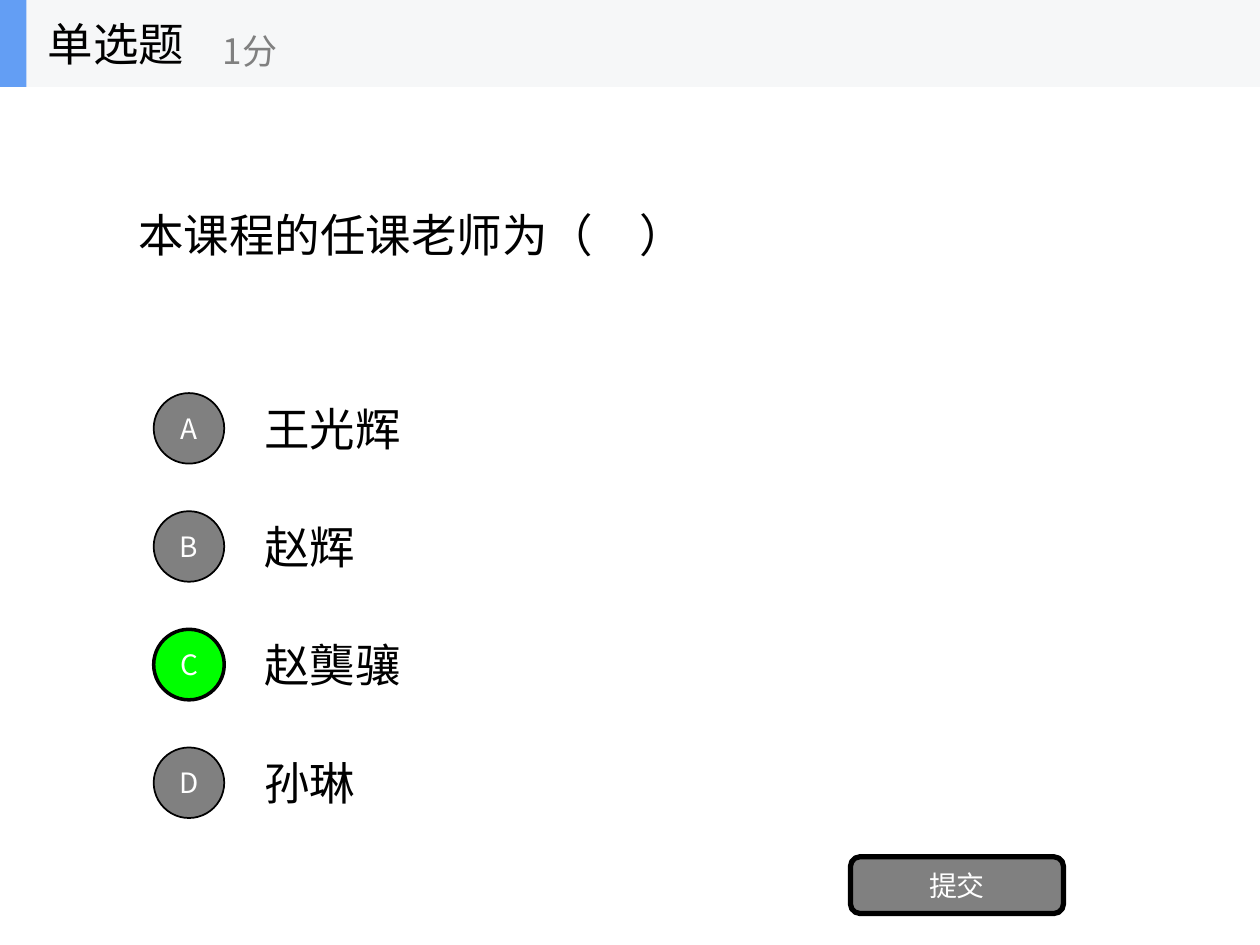
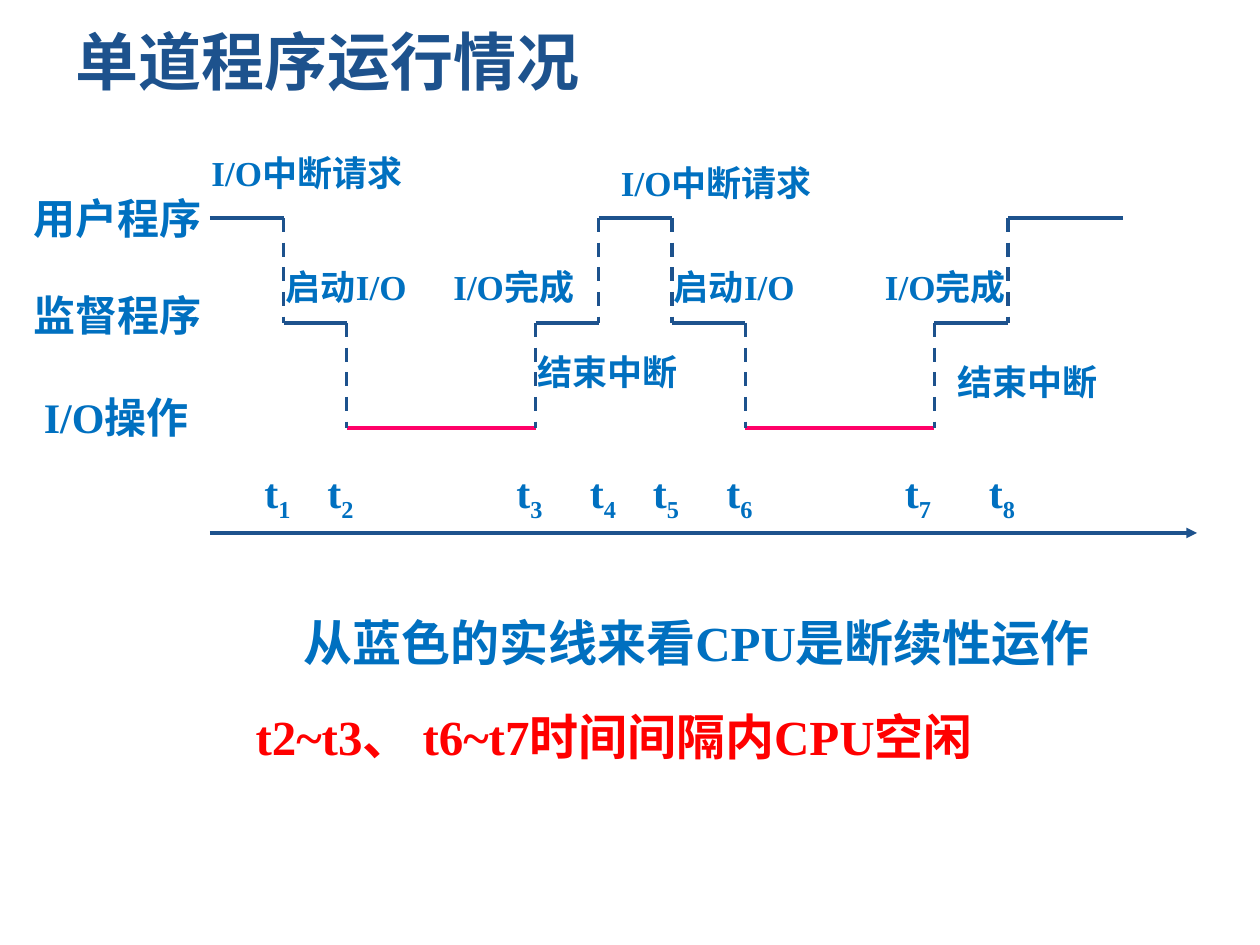
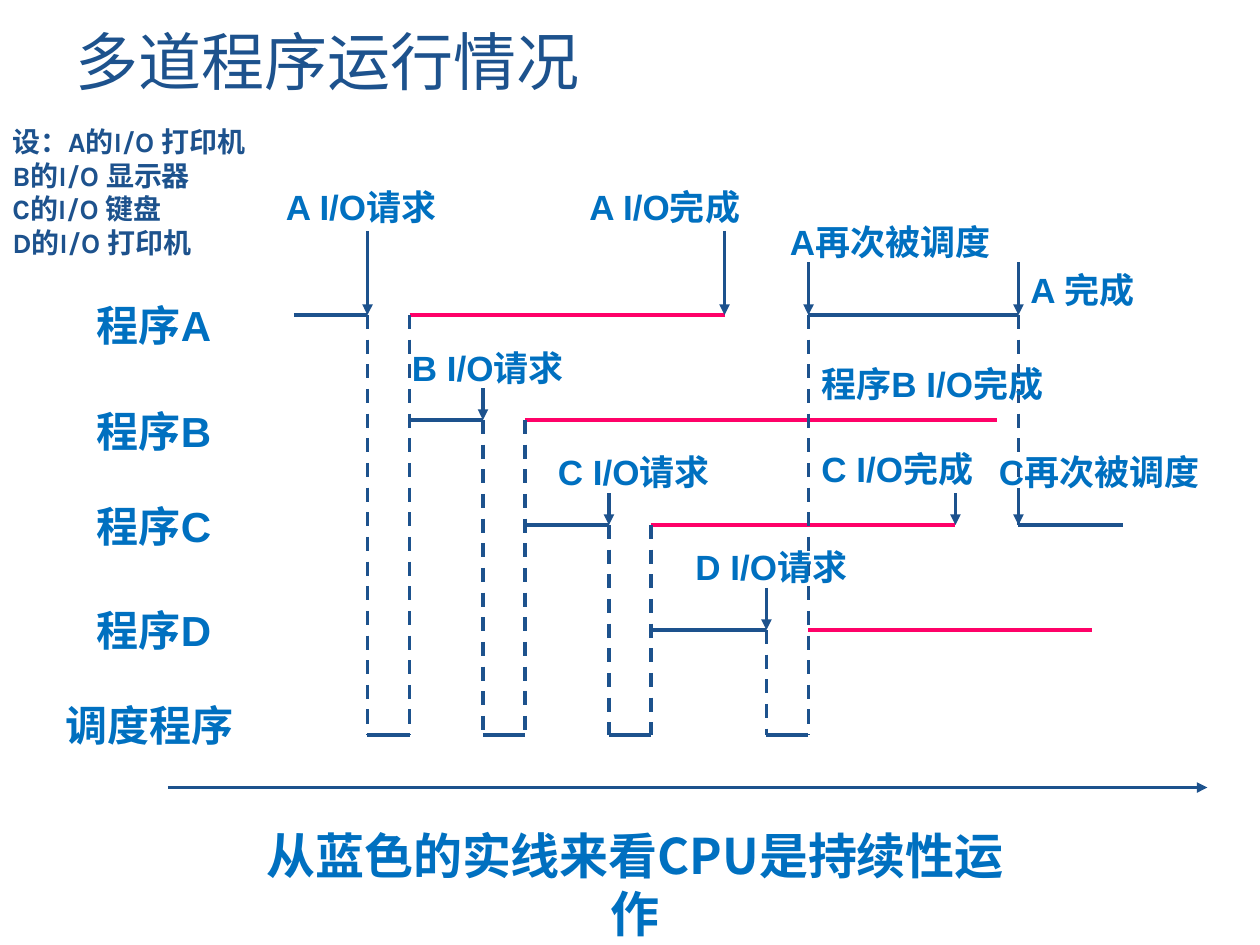
"""Builds a quiz slide and two timing diagrams of single and multiple program runs."""
from lxml import etree
from pptx import Presentation
from pptx.dml.color import RGBColor
from pptx.enum.dml import MSO_LINE
from pptx.enum.shapes import MSO_CONNECTOR, MSO_SHAPE
from pptx.enum.text import MSO_ANCHOR, PP_ALIGN
from pptx.oxml.ns import qn
from pptx.util import Inches, Pt

STRAIGHT = MSO_CONNECTOR.STRAIGHT
RECT, ROUND, OVAL = MSO_SHAPE.RECTANGLE, MSO_SHAPE.ROUNDED_RECTANGLE, MSO_SHAPE.OVAL
DASH = MSO_LINE.DASH
TOP, MIDDLE = MSO_ANCHOR.TOP, MSO_ANCHOR.MIDDLE
LEFT, CENTER, RIGHT = PP_ALIGN.LEFT, PP_ALIGN.CENTER, PP_ALIGN.RIGHT

WIDTH, HEIGHT = 10, 7.5
UNIT = 1 / 12
ROW_STEP = 10
HAN, SERIF, SANS, TITLE_SANS, NOTE_FONT = (
    "Noto Sans CJK SC", "Times New Roman", "Arial", "DejaVu Sans", "Karla")
BLACK, WHITE, GRAY, GREEN, RED = "000000", "FFFFFF", "808080", "00FF00", "FF0000"
NAVY, BLUE, PINK, BAND, ACCENT = "1D528D", "0070C0", "FF0168", "F6F7F8", "639EF4"

QUESTION = "本课程的任课老师为（　）"
OPTIONS = [("A", "王光辉"), ("B", "赵辉"), ("C", "赵龑骧"), ("D", "孙琳")]
ANSWER = "C"

SINGLE_TITLE = "单道程序运行情况"
SINGLE_TOP = 1.73
SINGLE_START = 20
SINGLE_STEPS = [(27, 0), (33, 1), (51, 2), (57, 1), (64, 0), (71, 1), (89, 2), (96, 1), (107, 0)]
IO_LEVEL = 2
TICKS = [24, 30, 48, 55, 61, 68, 85, 93]
SINGLE_ROWS = [(0.17, 1.48, "用户程序"), (0.17, 2.25, "监督程序"), (0.25, 3.06, "I/O操作")]
SINGLE_EVENTS = [
    (1.58, 1.15, 2.08, "I/O中断请求", LEFT), (4.83, 1.23, 2.08, "I/O中断请求", LEFT),
    (2.17, 2.06, 1.58, "启动I/O", LEFT), (3.5, 2.06, 1.58, "I/O完成", LEFT),
    (5.25, 2.06, 1.58, "启动I/O", LEFT), (6.5, 2.06, 1.58, "I/O完成", RIGHT),
    (4.17, 2.73, 1.58, "结束中断", LEFT), (7.5, 2.81, 1.58, "结束中断", LEFT),
]
SINGLE_SUMMARY = "从蓝色的实线来看CPU是断续性运作"
SINGLE_IDLE = "t2~t3、 t6~t7时间间隔内CPU空闲"

MULTI_TITLE = "多道程序运行情况"
MULTI_TOP = 2.5
DEVICES = ["设：A的I/O 打印机", "B的I/O 显示器", "C的I/O 键盘", "D的I/O 打印机"]
PROGRAMS = [("A", 2.33), ("B", 3.17), ("C", 3.92), ("D", 4.75)]
CPU_SPANS = [
    [(28, 35), (77, 97)], [(39, 46)], [(50, 58), (97, 107)], [(62, 73)],
    [(35, 39), (46, 50), (58, 62), (73, 77)],
]
IO_SPANS = [(39, 69), (50, 95), (62, 91), (77, 104)]
SWITCHES = [(35, 0, 4), (39, 0, 4), (46, 1, 4), (50, 1, 4), (58, 2, 4),
            (62, 2, 4), (73, 3, 4), (77, 0, 4), (97, 0, 2)]
ARROWS = [(35, 8, 0), (69, 8, 0), (77, 5, 0), (97, 5, 0), (46, 3, 1),
          (58, 3, 2), (91, 3, 2), (97, 3, 2), (73, 4, 3)]
MULTI_EVENTS = [
    (2.17, 1.42, 1.67, "A I/O请求"), (4.58, 1.42, 1.75, "A I/O完成"),
    (6.17, 1.7, 2, "A再次被调度"), (8.08, 2.08, 1.75, "A 完成"),
    (3.17, 2.7, 2.42, "B I/O请求"), (4.33, 3.53, 2.42, "C I/O请求"),
    (5.42, 4.28, 2.42, "D I/O请求"), (6.42, 3.5, 2.42, "C I/O完成"),
    (7.83, 3.53, 2, "C再次被调度"),
]
MULTI_SUMMARY = "从蓝色的实线来看CPU是持续性运作"


def rgb(value):
    return RGBColor.from_string(value)


def add_run(paragraph, text, font, size, color, bold=False, baseline=0):
    run = paragraph.add_run()
    run.text = text
    run.font.size, run.font.bold, run.font.name = Pt(size), bold, font
    run.font.color.rgb = rgb(color)
    properties = run.font._element
    etree.SubElement(properties, qn("a:ea")).set("typeface", HAN)
    if baseline:
        properties.set("baseline", str(baseline * 1000))


def write(slide, x, y, w, h, text, font, size, color, bold=False, align=LEFT, anchor=TOP):
    """Adds a text box and returns its first paragraph."""
    frame = slide.shapes.add_textbox(*map(Inches, (x, y, w, h))).text_frame
    frame.word_wrap, frame.vertical_anchor = True, anchor
    paragraph = frame.paragraphs[0]
    paragraph.alignment = align
    add_run(paragraph, text, font, size, color, bold)
    return paragraph


def block(slide, kind, x, y, w, h, fill, border=0, text=""):
    shape = slide.shapes.add_shape(kind, *map(Inches, (x, y, w, h)))
    shape.shadow.inherit = False
    shape.fill.solid()
    shape.fill.fore_color.rgb = rgb(fill)
    if border:
        shape.line.color.rgb = rgb(BLACK)
        shape.line.width = Pt(border)
    else:
        shape.line.fill.background()
    if text:
        frame = shape.text_frame
        frame.margin_left = frame.margin_right = 0
        frame.vertical_anchor = MIDDLE
        frame.paragraphs[0].alignment = CENTER
        add_run(frame.paragraphs[0], text, HAN, 16, WHITE)


def draw_line(slide, x1, y1, x2, y2, color=NAVY, dashed=False, arrow=False):
    connector = slide.shapes.add_connector(STRAIGHT, *map(Inches, (x1, y1, x2, y2)))
    connector.line.color.rgb = rgb(color)
    connector.line.width = Pt(2)
    if dashed:
        connector.line.dash_style = DASH
    if arrow:
        etree.SubElement(connector.line._get_or_add_ln(), qn("a:tailEnd")).set("type", "triangle")
    etree.SubElement(connector._element.spPr, qn("a:effectLst"))


def level(top, row):
    return top + row * ROW_STEP * UNIT


def span(slide, top, row, start, end, color=NAVY):
    draw_line(slide, start * UNIT, level(top, row), end * UNIT, level(top, row), color)


def switch(slide, top, column, first, last):
    draw_line(slide, column * UNIT, level(top, first), column * UNIT, level(top, last), dashed=True)


def title(slide, text, font, bold):
    write(slide, 0.5, 0.17, 9, 0.62, text, font, 36, NAVY, bold, anchor=MIDDLE)


def label(slide, x, y, w, text, font, size=20, align=LEFT, color=BLUE):
    return write(slide, x, y, w, size / 48, text, font, size, color, True, align)


def build_quiz(slide):
    write(slide, 1, 0.69, 8, 2.34, QUESTION, HAN, 26, BLACK, anchor=MIDDLE)
    for index, (letter, name) in enumerate(OPTIONS):
        y = 3.05 + index * 0.9375
        right = letter == ANSWER
        write(slide, 2, y, 7, 0.7, name, HAN, 26, BLACK, anchor=MIDDLE)
        block(slide, OVAL, 1.22, y + 0.07, 0.56, 0.56,
              GREEN if right else GRAY, 2 if right else 1, letter)
    block(slide, ROUND, 6.75, 6.8, 1.69, 0.45, GRAY, 3, "提交")
    block(slide, RECT, 0, 0, WIDTH, 0.69, BAND)
    block(slide, RECT, 0, 0, 0.21, 0.69, ACCENT)
    write(slide, 0.28, 0, 2.08, 0.69, "单选题", HAN, 26, BLACK, anchor=MIDDLE)
    write(slide, 1.67, 0.12, 2.5, 0.56, "1分", HAN, 20, GRAY, anchor=MIDDLE)


def build_single(slide):
    title(slide, SINGLE_TITLE, SERIF, True)
    axis = level(SINGLE_TOP, 3)
    draw_line(slide, SINGLE_START * UNIT, axis, 9.5, axis, arrow=True)
    start, previous = SINGLE_START, None
    for end, row in SINGLE_STEPS:
        span(slide, SINGLE_TOP, row, start, end, PINK if row == IO_LEVEL else NAVY)
        if previous is not None:
            switch(slide, SINGLE_TOP, start, min(previous, row), max(previous, row))
        start, previous = end, row
    for x, y, text in SINGLE_ROWS:
        label(slide, x, y, 1.58, text, SERIF, 24)
    for x, y, w, text, align in SINGLE_EVENTS:
        label(slide, x, y, w, text, SERIF, align=align)
    for number, column in enumerate(TICKS, 1):
        tick = label(slide, column * UNIT, 3.65, 0.5, "t", SERIF, 24)
        add_run(tick, str(number), SERIF, 24, BLUE, True, -25)
    label(slide, 2.08, 4.81, 6.9, SINGLE_SUMMARY, SERIF, 28, CENTER)
    label(slide, 1.93, 5.56, 6.38, SINGLE_IDLE, SERIF, 28, color=RED)


def build_multi(slide):
    title(slide, MULTI_TITLE, TITLE_SANS, False)
    draw_line(slide, 16 * UNIT, 6.25, 115 * UNIT, 6.25, arrow=True)
    for row, spans in enumerate(CPU_SPANS):
        for start, end in spans:
            span(slide, MULTI_TOP, row, start, end)
    for row, (start, end) in enumerate(IO_SPANS):
        span(slide, MULTI_TOP, row, start, end, PINK)
    for column, first, last in SWITCHES:
        switch(slide, MULTI_TOP, column, first, last)
    for column, length, row in ARROWS:
        x, y = column * UNIT, level(MULTI_TOP, row)
        draw_line(slide, x, y - length * UNIT, x, y, arrow=True)
    for letter, y in PROGRAMS:
        program = label(slide, 0.67, y, 1.25, "程序", HAN, 24)
        add_run(program, letter, SANS, 24, BLUE, True)
    label(slide, 0.42, 5.5, 1.67, "调度程序", HAN, 24)
    for x, y, w, text in MULTI_EVENTS:
        label(slide, x, y, w, text, SANS)
    finished = label(slide, 6.42, 2.83, 2.42, "程序", HAN)
    add_run(finished, "B I/O完成", SANS, 20, BLUE, True)
    label(slide, 1.83, 6.5, 6.42, MULTI_SUMMARY, HAN, 28, CENTER)
    for index, device in enumerate(DEVICES):
        if index == 0:
            frame = slide.shapes.add_textbox(
                0, Inches(0.94), Inches(2.66), Inches(1.34)).text_frame
            frame.word_wrap = True
        paragraph = frame.add_paragraph() if index else frame.paragraphs[0]
        paragraph.line_spacing = Pt(19.2)
        add_run(paragraph, device, NOTE_FONT, 16, NAVY, True)


def main():
    deck = Presentation()
    deck.slide_width, deck.slide_height = Inches(WIDTH), Inches(HEIGHT)
    for build in (build_quiz, build_single, build_multi):
        build(deck.slides.add_slide(deck.slide_layouts[6]))
    deck.save("out.pptx")


if __name__ == "__main__":
    main()
